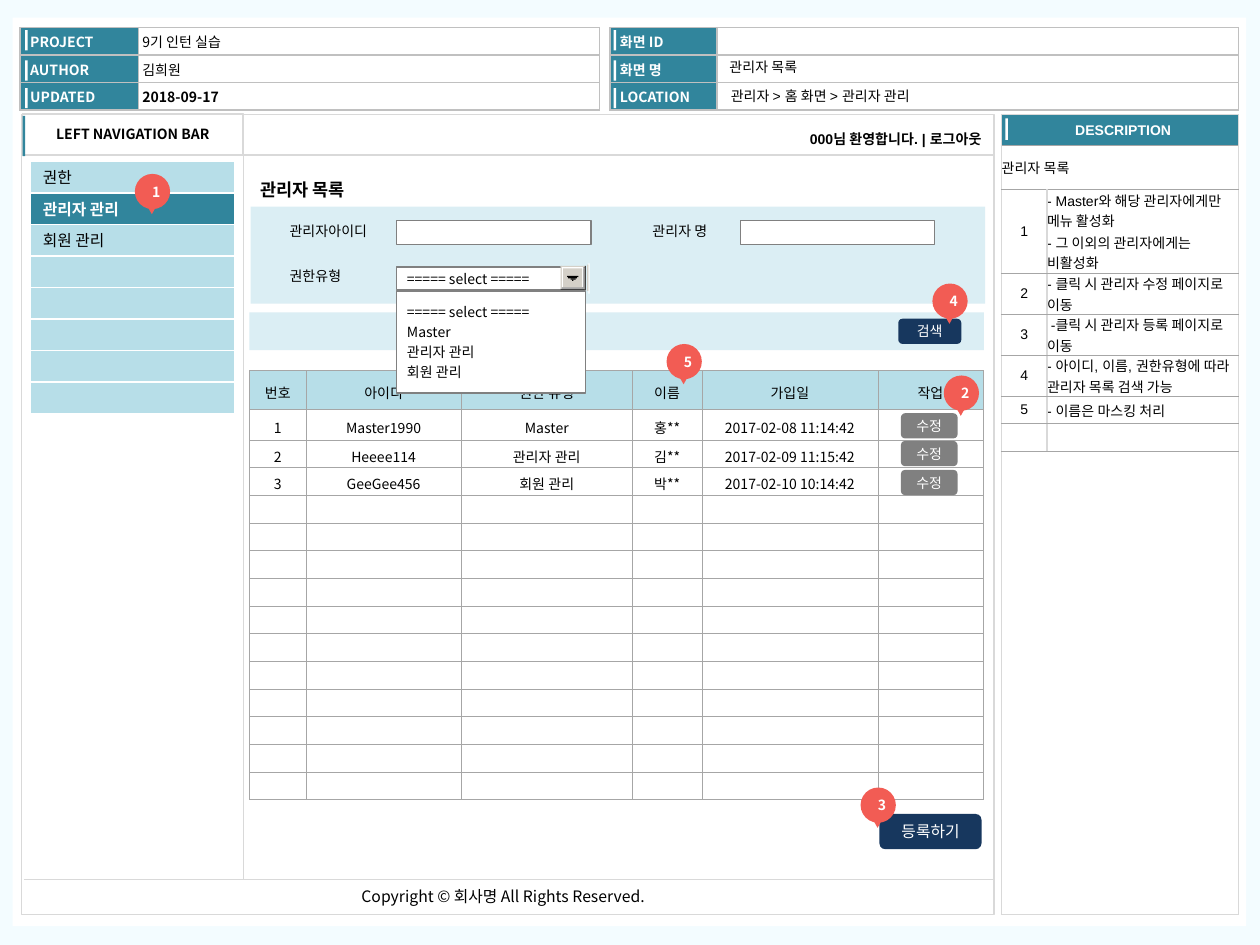
"""Builds the wireframe slide of an administrator list screen on a 1000 by 750 grid."""
import itertools
import lxml.etree
import pptx
import pptx.dml.color
import pptx.enum.shapes
import pptx.enum.text
import pptx.oxml.ns
import pptx.util

presentation = pptx.Presentation()
presentation.slide_width = pptx.util.Inches(10)
presentation.slide_height = pptx.util.Inches(7.5)
slide = presentation.slides.add_slide(presentation.slide_layouts[5])
unit = presentation.slide_width // 1000

color = pptx.dml.color.RGBColor.from_string
qualified = pptx.oxml.ns.qn
preset = pptx.enum.shapes.MSO_SHAPE
RECT, ROUND = preset.RECTANGLE, preset.ROUNDED_RECTANGLE
LEFT, CENTER, RIGHT = (getattr(pptx.enum.text.PP_ALIGN, name) for name in ("LEFT", "CENTER", "RIGHT"))
WHITE, BLACK, TEAL, SKY, PALE = "FFFFFF", "000000", "31859C", "B7DEE8", "DBEEF4"
NAVY, GRAY, CORAL, RULE, SILVER = "17375E", "808080", "F25C54", "D9D9D9", "C0C0C0"
NOTO, ARIAL = "Noto Sans CJK KR", "Arial"


def write(holder, text, size=8, ink=BLACK, bold=False, align=LEFT, font=NOTO, insets=(10, 5, 10, 5), before=0):
    """Fill a text frame or table cell with formatted text."""
    holder.text = text
    holder.vertical_anchor = pptx.enum.text.MSO_ANCHOR.MIDDLE
    for side, inset in zip(("left", "top", "right", "bottom"), insets):
        setattr(holder, f"margin_{side}", int(inset * unit))
    for paragraph in getattr(holder, "text_frame", holder).paragraphs:
        paragraph.alignment = align
        paragraph.space_before = pptx.util.Pt(before)
        for run in paragraph.runs:
            run.font.size = pptx.util.Pt(size)
            run.font.bold = bold
            run.font.name = font
            run.font.color.rgb = color(ink)
            lxml.etree.SubElement(run._r.get_or_add_rPr(), qualified("a:ea"), typeface=NOTO)
        if not paragraph.runs:
            lxml.etree.SubElement(paragraph._p, qualified("a:endParaRPr"), sz=str(size * 100))


def box(kind, place, fill=None, line=None, text="", parent=slide.shapes, wrap=True, **style):
    """Add a preset shape, or a text box when kind is None, at a grid place."""
    position = [value * unit for value in place]
    shape = parent.add_shape(kind, *position) if kind else parent.add_textbox(*position)
    if kind:
        shape.shadow.inherit = False
        shape.line.fill.background()
        shape.fill.background()
    if fill:
        shape.fill.solid()
        shape.fill.fore_color.rgb = color(fill)
    if line:
        shape.line.color.rgb = color(line)
        shape.line.width = pptx.util.Pt(0.75)
    if text:
        write(shape.text_frame, text, **style)
        shape.text_frame.word_wrap = wrap
    return shape


slide.background.fill.solid()
slide.background.fill.fore_color.rgb = color("F3FCFF")
box(RECT, (10, 14, 979, 721), WHITE)

project = [("PROJECT", "9기 인턴 실습"), ("AUTHOR", "김희원"), ("UPDATED", "2018-09-17")]
screen = ["화면 ID", "화면 명", "LOCATION"]
menu = ["권한", "관리자 관리", "회원 관리"] + [""] * 5
notes = [
    "- Master와 해당 관리자에게만 메뉴 활성화\n- 그 이외의 관리자에게는 비활성화",
    "- 클릭 시 관리자 수정 페이지로 이동",
    " -클릭 시 관리자 등록 페이지로 이동",
    "- 아이디, 이름, 권한유형에 따라 관리자 목록 검색 가능",
    "- 이름은 마스킹 처리",
]
headings = ["번호", "아이디", "권한 유형", "이름", "가입일", "작업"]
members = [
    ("1", "Master1990", "Master", "홍**", "2017-02-08 11:14:42", ""),
    ("2", "Heeee114", "관리자 관리", "김**", "2017-02-09 11:15:42", ""),
    ("3", "GeeGee456", "회원 관리", "박**", "2017-02-10 10:14:42", ""),
] + [("",) * 6] * 11

label = dict(fill=TEAL, ink=WHITE, bold=True, insets=(8, 0, 3, 0))
value = dict(fill=WHITE, insets=(3, 0, 3, 0))
note = dict(fill=WHITE, font=ARIAL, insets=(0, 0, 0, 0), before=0.7)
item = dict(fill=SKY, size=9, insets=(10, 0, 10, 0))
member = dict(align=CENTER, insets=(8, 4, 8, 0))

tables = [
    (16, 22, (94, 366), [21.8] * 3, (SILVER, 1), (SILVER, 1),
     [[(name, label), (text, dict(value, bold=name == "UPDATED"))] for name, text in project]),
    (484, 22, (85, 414), [21.8] * 3, (SILVER, 1), (SILVER, 1),
     [[(name, label), ("", value)] for name in screen]),
    (795, 91, (188,), (25, 610), (RULE, 1), (RULE, 1),
     [[("DESCRIPTION", dict(label, font=ARIAL, align=CENTER))], [("", note)]]),
    (795, 115, (36, 152), (35, 67, 32.5, 32.5, 32.5, 22, 22), (RULE, 1), ("A6A6A6", 0.5),
     [[("관리자 목록", note), ("", note)]]
     + [[(str(number), dict(note, align=CENTER)), (text, note)] for number, text in enumerate(notes, 1)]
     + [[("", note)] * 2]),
    (24, 128, (162,), [25] * 8, (WHITE, 1), (WHITE, 1),
     [[(text, dict(item, fill=TEAL, ink=WHITE, bold=True) if text == "관리자 관리" else item)] for text in menu]),
    (198, 294, (45, 123, 136, 55, 140, 83), [31, 24] + [22] * 13, ("A6A6A6", 0.25), ("A6A6A6", 0.25),
     [[(text, dict(member, fill=SKY)) for text in headings]]
     + [[(text, member) for text in row] for row in members]),
]
for left, top, columns, rows, vertical, horizontal, cells in tables:
    cells = cells + [[("", member)] * len(columns)] * (len(rows) - len(cells))
    frame = slide.shapes.add_table(
        len(rows), len(columns), left * unit, top * unit, sum(columns) * unit, int(sum(rows) * unit))
    table = frame.table
    table.first_row = table.horz_banding = False
    for column, width in zip(table.columns, columns):
        column.width = width * unit
    for row, height in zip(table.rows, rows):
        row.height = int(height * unit)
    for cell, (text, style) in zip(table.iter_cells(), itertools.chain(*cells)):
        properties = cell._tc.get_or_add_tcPr()
        for side, (shade, width) in zip("LRTB", (vertical, vertical, horizontal, horizontal)):
            border = lxml.etree.SubElement(properties, qualified(f"a:ln{side}"), w=str(int(width * 12700)))
            solid = lxml.etree.SubElement(border, qualified("a:solidFill"))
            lxml.etree.SubElement(solid, qualified("a:srgbClr"), val=shade)
        style = dict(style)
        fill = style.pop("fill", None)
        if fill:
            cell.fill.solid()
            cell.fill.fore_color.rgb = color(fill)
        else:
            cell.fill.background()
        write(cell, text, **style)
    if rows[0] == 35:
        table.cell(0, 0).merge(table.cell(0, 1))

for left, top in itertools.product((20, 487), (24, 48, 70)):
    box(RECT, (left, top, 2, 16), WHITE)
box(RECT, (798, 94, 2, 17), WHITE)
box(RECT, (17, 91, 772, 635), line=RULE)
box(RECT, (18, 90, 175, 33), line=RULE, text="LEFT NAVIGATION BAR", bold=True, align=CENTER)
box(RECT, (18, 92, 2, 32), TEAL)
for x1, y1, x2, y2, width in ((19, 698, 789, 698, 1), (193, 91, 193, 698, 0.75), (193, 123, 789, 123, 1)):
    rule = slide.shapes.add_connector(
        pptx.enum.shapes.MSO_CONNECTOR.STRAIGHT, x1 * unit, y1 * unit, x2 * unit, y2 * unit)
    rule.line.color.rgb = color(RULE)
    rule.line.width = pptx.util.Pt(width)
    lxml.etree.SubElement(rule._element.spPr, qualified("a:effectLst"))

small = dict(font=ARIAL, insets=(8, 4, 8, 4))
box(None, (572, 66, 290, 20), text="관리자 > 홈 화면 > 관리자 관리", **small)
box(None, (571, 43, 290, 20), text="관리자 목록", **small)
box(None, (529, 99, 258, 22), text="000님 환영합니다. | 로그아웃", bold=True, align=RIGHT, **small)
box(None, (277, 699, 252, 25), text="Copyright © 회사명 All Rights Reserved.", size=9, wrap=False)

title = slide.shapes.title
title.left, title.top, title.width, title.height = (value * unit for value in (197, 137, 95, 27))
write(title.text_frame, "관리자 목록", size=10, bold=True)
title.text_frame.word_wrap = False
slide.shapes._spTree.append(title._element)

box(RECT, (199, 164, 583, 77), PALE)
box(RECT, (198, 248, 583, 30), PALE)
for left, top, width, text in ((220, 171, 88, "관리자아이디"), (508, 171, 69, "관리자 명"), (220, 207, 65, "권한유형")):
    box(None, (left, top, width, 24), text=text, wrap=False)
for left in (315, 588):
    box(RECT, (left, 175, 154, 19), WHITE, GRAY)

prompt = "===== select ====="
box(RECT, (315, 212, 150, 18), WHITE, GRAY, prompt, insets=(8, 0, 8, 0))
box(RECT, (315, 231, 150, 81), WHITE, GRAY, "\n".join([prompt, "Master", "관리자 관리", "회원 관리"]),
    insets=(8, 0, 8, 0), before=1.8)
arrow_button = slide.shapes.add_group_shape().shapes
box(RECT, (467, 209, 1, 24), WHITE, parent=arrow_button)
box(RECT, (466, 210, 1, 21), "D4D0C8", parent=arrow_button)
for inset, light, dark in ((0, "D4D0C8", "404040"), (1, WHITE, GRAY)):
    left, top, side = 445 + inset, 211 + inset, 19 - 2 * inset
    box(RECT, (left + side, top, 1, side), dark, parent=arrow_button)
    box(RECT, (left, top + side - 1, side, 1), dark, parent=arrow_button)
    box(RECT, (left, top, 1, side - 1), light, parent=arrow_button)
    box(RECT, (left, top, side, 1), light, parent=arrow_button)
box(RECT, (447, 213, 15, 15), "D4D0C8", parent=arrow_button)
for step, (left, width) in enumerate(((450, 9), (451, 7), (453, 4), (454, 1))):
    box(RECT, (left, 219 + step, width, 1), BLACK, parent=arrow_button)

button = dict(ink=WHITE, align=CENTER, insets=(0, 0, 0, 0))
for top in (328, 350, 373):
    box(ROUND, (715, top, 45, 20), GRAY, text="수정", **button)
box(ROUND, (713, 253, 50, 20), NAVY, text="검색", **button)
box(ROUND, (698, 646, 81, 28), NAVY, text="등록하기", size=9, **button)

for number, left, top in ((1, 107, 138), (2, 749, 298), (3, 683, 625), (4, 740, 225), (5, 529, 273)):
    callout = slide.shapes.add_group_shape().shapes
    box(preset.OVAL, (left, top, 28, 28), CORAL, text=str(number), parent=callout,
        ink=WHITE, bold=True, align=CENTER, insets=(6, 0, 0, 0))
    box(preset.ISOSCELES_TRIANGLE, (left + 9, top + 24, 9, 8), CORAL, parent=callout).rotation = 180

presentation.save("out.pptx")
